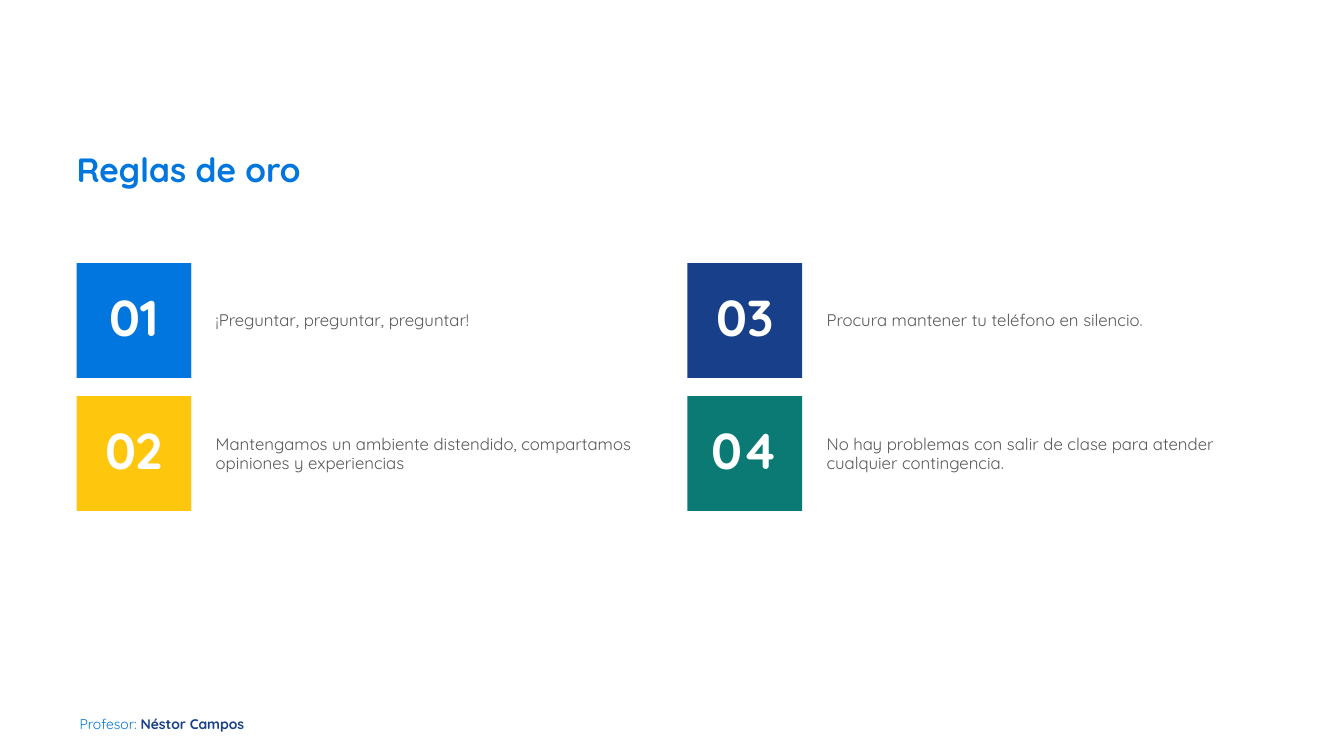
"""Builds the "Reglas de oro" slide with its four numbered rules."""
from pptx import Presentation
from pptx.dml.color import RGBColor
from pptx.enum.shapes import MSO_SHAPE
from pptx.enum.text import MSO_ANCHOR, PP_ALIGN
from pptx.util import Pt

RECTANGLE = MSO_SHAPE.RECTANGLE
MIDDLE = MSO_ANCHOR.MIDDLE
LEFT, CENTER = PP_ALIGN.LEFT, PP_ALIGN.CENTER

BLUE = RGBColor(0x01, 0x76, 0xDE)
NAVY = RGBColor(0x17, 0x3F, 0x8A)
YELLOW = RGBColor(0xFE, 0xC6, 0x0D)
TEAL = RGBColor(0x0B, 0x7A, 0x75)
GRAY = RGBColor(0x59, 0x59, 0x59)
WHITE = RGBColor(0xFF, 0xFF, 0xFF)

MARGIN, GRID_TOP = 54.72, 187.92
TILE, RULE_WIDTH = 82.08, 331.92
COLUMN_STEP, ROW_STEP = 436.32, 95.04
RULE_INSET = 17.28

RULES = [
    ("01", BLUE, "¡Preguntar, preguntar, preguntar!"),
    ("02", YELLOW, "Mantengamos un ambiente distendido, compartamos opiniones y experiencias"),
    ("03", NAVY, "Procura mantener tu teléfono en silencio."),
    ("04", TEAL, "No hay problemas con salir de clase para atender cualquier contingencia."),
]


class RuleSlide:
    """Holds the typeface and the slide being drawn."""

    def __init__(self, slide, typeface):
        self.slide = slide
        self.typeface = typeface

    def style(self, font, size, color, bold=False):
        font.name = self.typeface
        font.size = Pt(size)
        font.bold = bold
        font.color.rgb = color

    def line(self, left, top, width, height, spacing):
        frame = self.slide.shapes.add_textbox(
            Pt(left), Pt(top), Pt(width), Pt(height)).text_frame
        frame.word_wrap = True
        frame.margin_left = frame.margin_right = 0
        frame.margin_top = frame.margin_bottom = 0
        paragraph = frame.paragraphs[0]
        paragraph.line_spacing = Pt(spacing)
        return paragraph

    def title(self, text):
        heading = self.line(MARGIN, 108, 722.88, 48.96, 27)
        heading.text = text
        self.style(heading.font, 24, BLUE, True)

    def footer(self, label, name):
        credit = self.line(56.88, 501.12, 144, 18.72, 22)
        for text, color, bold in ((label, BLUE, False), (name, NAVY, True)):
            run = credit.add_run()
            run.text = text
            self.style(run.font, 10, color, bold)

    def panel(self, left, top, width, fill, text, align, spacing):
        panel = self.slide.shapes.add_shape(
            RECTANGLE, Pt(left), Pt(top), Pt(width), Pt(TILE))
        panel.shadow.inherit = False
        panel.fill.solid()
        panel.fill.fore_color.rgb = fill
        panel.line.fill.background()
        frame = panel.text_frame
        frame.word_wrap = True
        frame.vertical_anchor = MIDDLE
        paragraph = frame.paragraphs[0]
        paragraph.text = text
        paragraph.alignment = align
        paragraph.line_spacing = spacing
        return frame

    def rule(self, left, top, number, color, text):
        tile = self.panel(left, top, TILE, color, number, CENTER, 0.9)
        self.style(tile.paragraphs[0].font, 36, WHITE, True)
        body = self.panel(left + TILE, top, RULE_WIDTH, WHITE, text, LEFT, Pt(14))
        body.margin_left = body.margin_right = Pt(RULE_INSET)
        body.margin_top = body.margin_bottom = Pt(RULE_INSET)
        self.style(body.paragraphs[0].font, 12, GRAY)


def main():
    deck = Presentation()
    deck.slide_width, deck.slide_height = Pt(960), Pt(540)
    page = RuleSlide(deck.slides.add_slide(deck.slide_layouts[6]), "Quicksand")
    page.footer("Profesor: ", "Néstor Campos")
    page.title("Reglas de oro")
    for index, (number, color, text) in enumerate(RULES):
        column, row = divmod(index, 2)
        page.rule(MARGIN + column * COLUMN_STEP, GRID_TOP + row * ROW_STEP,
                  number, color, text)
    deck.save("out.pptx")


if __name__ == "__main__":
    main()
